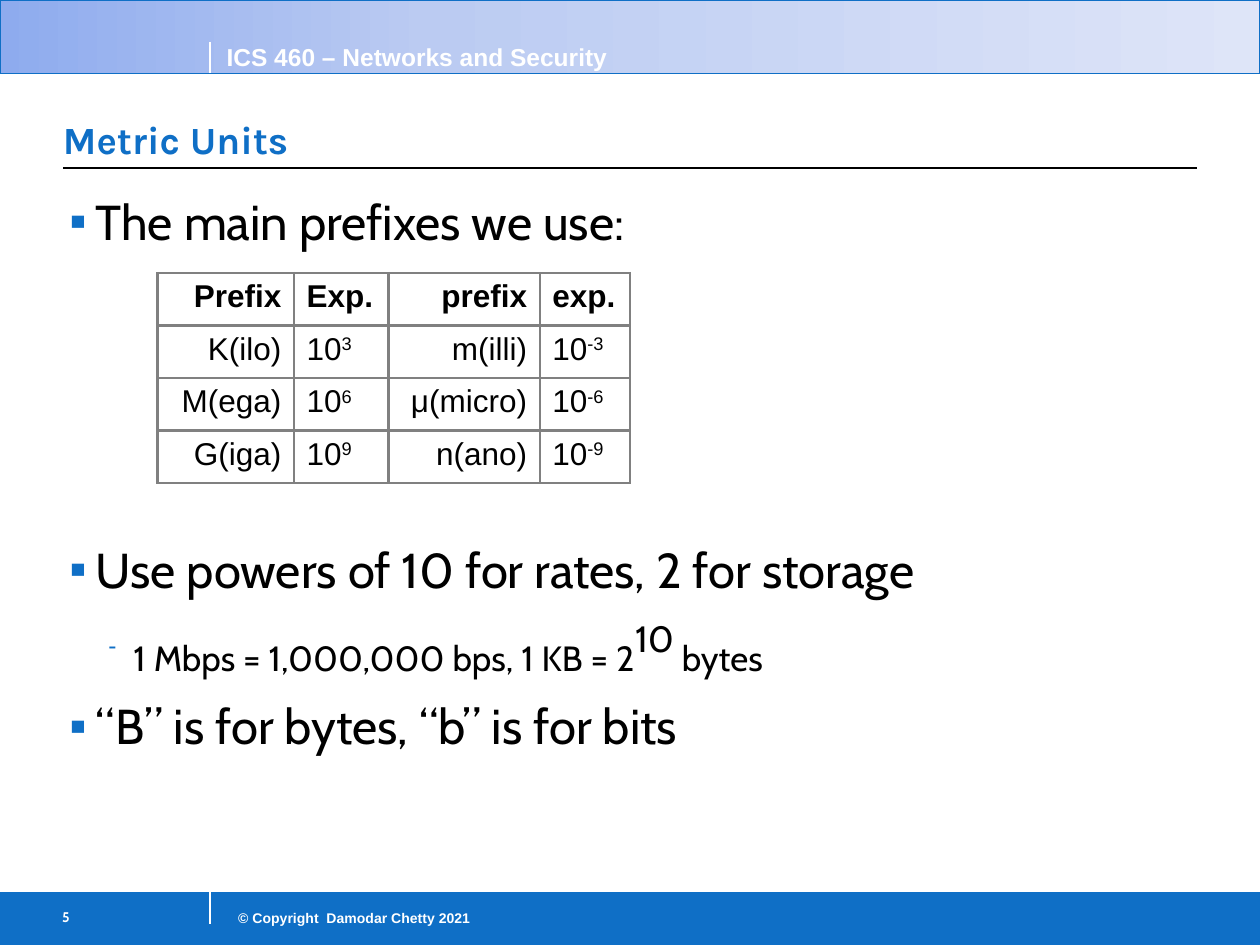
from copy import deepcopy

from lxml import etree
from pptx import Presentation
from pptx.dml.color import RGBColor
from pptx.enum.shapes import MSO_CONNECTOR, MSO_SHAPE
from pptx.enum.text import MSO_ANCHOR, PP_ALIGN
from pptx.oxml.ns import qn
from pptx.util import Inches, Pt

LINE, RECT = MSO_CONNECTOR.STRAIGHT, MSO_SHAPE.RECTANGLE
LEFT, RIGHT = PP_ALIGN.LEFT, PP_ALIGN.RIGHT
TOP, BOTTOM = MSO_ANCHOR.TOP, MSO_ANCHOR.BOTTOM
COLS, ROWS = 120, 90  # slide grid; boxes are (left, top, width, height) in cells
HUES = {"blue": "0F6FC6", "white": "FFFFFF", "black": "000000", "gray": "808080"}
FADE = [(0, "8EABEE"), (0.34, "BBCBF2"), (1, "DEE5F8")]
TABLE = [
    ["Prefix", "Exp.", "prefix", "exp."],
    ["K(ilo)", "10^3", "m(illi)", "10^-3"],
    ["M(ega)", "10^6", "μ(micro)", "10^-6"],
    ["G(iga)", "10^9", "n(ano)", "10^-9"],
]
WIDTHS = [13, 9, 14.4, 8.6]
# level, space before in points, runs of (text, size, raised)
BODY = [
    (0, 0, [("The main prefixes we use:", 28, False)]),
    (0, 164, [("Use powers of 10 for rates, 2 for storage", 28, False)]),
    (1, 4, [("1 Mbps = 1,000,000 bps, 1 KB = 2", 20, False),
            ("10", 36, True), (" bytes", 20, False)]),
    (0, 5.6, [("“B” is for bytes, “b” is for bits", 28, False)]),
]
# mark, its size in percent, indent and hang in inches
MARKS = [("▪", 100, 0.21, 0.21), ("-", 70, 0.51, 0.2)]

prs = Presentation()
prs.slide_width, prs.slide_height = Inches(10), Inches(7.5)
slide = prs.slides.add_slide(prs.slide_layouts[6])
shapes = slide.shapes
CELL_W, CELL_H = prs.slide_width / COLS, prs.slide_height / ROWS


def hue(name):
    return RGBColor.from_string(HUES[name])


def place(box):
    x, y, w, h = box
    return [round(n) for n in (x * CELL_W, y * CELL_H, w * CELL_W, h * CELL_H)]


def add(parent, tag, **attrs):
    node = etree.SubElement(parent, qn(tag))
    for key, value in attrs.items():
        node.set(key, str(value))
    return node


def write(para, text, size, face, color, bold=False, raised=False):
    run = para.add_run()
    run.text = text
    font = run.font
    font.size, font.name, font.bold = Pt(size), face, bold
    font.color.rgb = hue(color)
    if raised:
        run._r.get_or_add_rPr().set("baseline", "30000")


def frame(box, pads=(0.1, 0.05, 0.1, 0.05), anchor=TOP):
    """Add an empty text box with its pads in inches."""
    text = shapes.add_textbox(*place(box)).text_frame
    text.word_wrap, text.vertical_anchor = True, anchor
    (text.margin_left, text.margin_top,
     text.margin_right, text.margin_bottom) = map(Inches, pads)
    return text


def rule(x, y, w, h, color, width):
    x, y, w, h = place((x, y, w, h))
    line = shapes.add_connector(LINE, x, y, x + w, y + h)
    line.line.color.rgb, line.line.width = hue(color), Pt(width)
    add(line._element.spPr, "a:effectLst")


def band(box):
    bar = shapes.add_shape(RECT, *place(box))
    bar.shadow.inherit = False
    bar.fill.solid()
    bar.fill.fore_color.rgb = hue("blue")
    bar.line.color.rgb, bar.line.width = hue("blue"), Pt(0.75)
    return bar


def fade(bar):
    bar.fill.gradient()
    bar.fill.gradient_angle = 0
    stops = bar._element.spPr.find(qn("a:gradFill")).find(qn("a:gsLst"))
    stops.append(deepcopy(stops[0]))
    for stop, (spot, color) in zip(bar.fill.gradient_stops, FADE):
        stop.position, stop.color.rgb = spot, RGBColor.from_string(color)


def header(box):
    x, y, w, h = box
    fade(band(box))
    rule(x, y + h, w, 0, "blue", 0.5)
    rule(x + w / 6, y + h - 3, 0, 3, "white", 0.75)
    text = frame((x + w * 0.17, y + h - 3.6, w * 0.4, 4.1))
    write(text.paragraphs[0], "ICS 460 – Networks and Security", 14, "Arial",
          "white", True)


def footer(box):
    x, y, w, h = box
    band(box)
    rule(x, y, w, 0, "blue", 0.5)
    rule(x + w / 6, y, 0, 3, "white", 0.75)
    note = frame((x + w / 6, y + 1, 26, 2.9)).paragraphs[0]
    note.alignment = RIGHT
    write(note, "© Copyright  Damodar Chetty 2021", 8, "Arial", "white", True)
    page = frame((x + 4, y + 0.7, 16, 4.2), (0.16, 0.07, 0.1, 0.05))
    write(page.paragraphs[0], "5", 8, "Cabin", "white", True)


def title(box):
    x, y, w, h = box
    text = frame(box, (0, 0.05, 0, 0.05), BOTTOM)
    write(text.paragraphs[0], "Metric Units", 22, "Karla", "blue", True)
    rule(x, y + h, w, 0, "black", 0.75)


def bullet(para, level):
    mark, scale, indent, hang = MARKS[level]
    props = para._p.get_or_add_pPr()
    props.set("marL", str(Inches(indent)))
    props.set("indent", str(-Inches(hang)))
    add(add(props, "a:buClr"), "a:srgbClr", val=HUES["blue"])
    add(props, "a:buSzPct", val=scale * 1000)
    add(props, "a:buFont", typeface="Arial")
    add(props, "a:buChar", char=mark)


def body(box):
    text = frame(box, (0.05,) * 4)
    for i, (level, gap, runs) in enumerate(BODY):
        para = text.add_paragraph() if i else text.paragraphs[0]
        bullet(para, level)
        para.level, para.line_spacing = level, 1.04
        para.space_before = Pt(gap)
        for words, size, raised in runs:
            write(para, words, size, "Cabin", "black", raised=raised)


def border(cell):
    props = cell._tc.get_or_add_tcPr()
    for i, side in enumerate(("a:lnL", "a:lnR", "a:lnT", "a:lnB")):
        edge = etree.Element(qn(side), w=str(Pt(1.5)))
        add(add(edge, "a:solidFill"), "a:srgbClr", val=HUES["gray"])
        props.insert(i, edge)


def units(box):
    x, y, w, h = place(box)
    table = shapes.add_table(len(TABLE), len(WIDTHS), x, y, w, h).table
    table.first_row = table.horz_banding = False
    for col, share in zip(table.columns, WIDTHS):
        col.width = round(w * share / sum(WIDTHS))
    for r, row in enumerate(TABLE):
        for c, words in enumerate(row):
            cell = table.cell(r, c)
            cell.fill.background()
            border(cell)
            para = cell.text_frame.paragraphs[0]
            para.alignment = LEFT if c % 2 else RIGHT
            for i, part in enumerate(words.split("^")):
                write(para, part, 18, "Arial", "black", r == 0, i == 1)


footer((0, 85, COLS, 5))
header((0, 0, COLS, 7))
title((6, 7.3, 108, 8.7))
body((6, 17.4, 108, 64.7))
units((15, 26, 45, 20))
prs.save("out.pptx")
